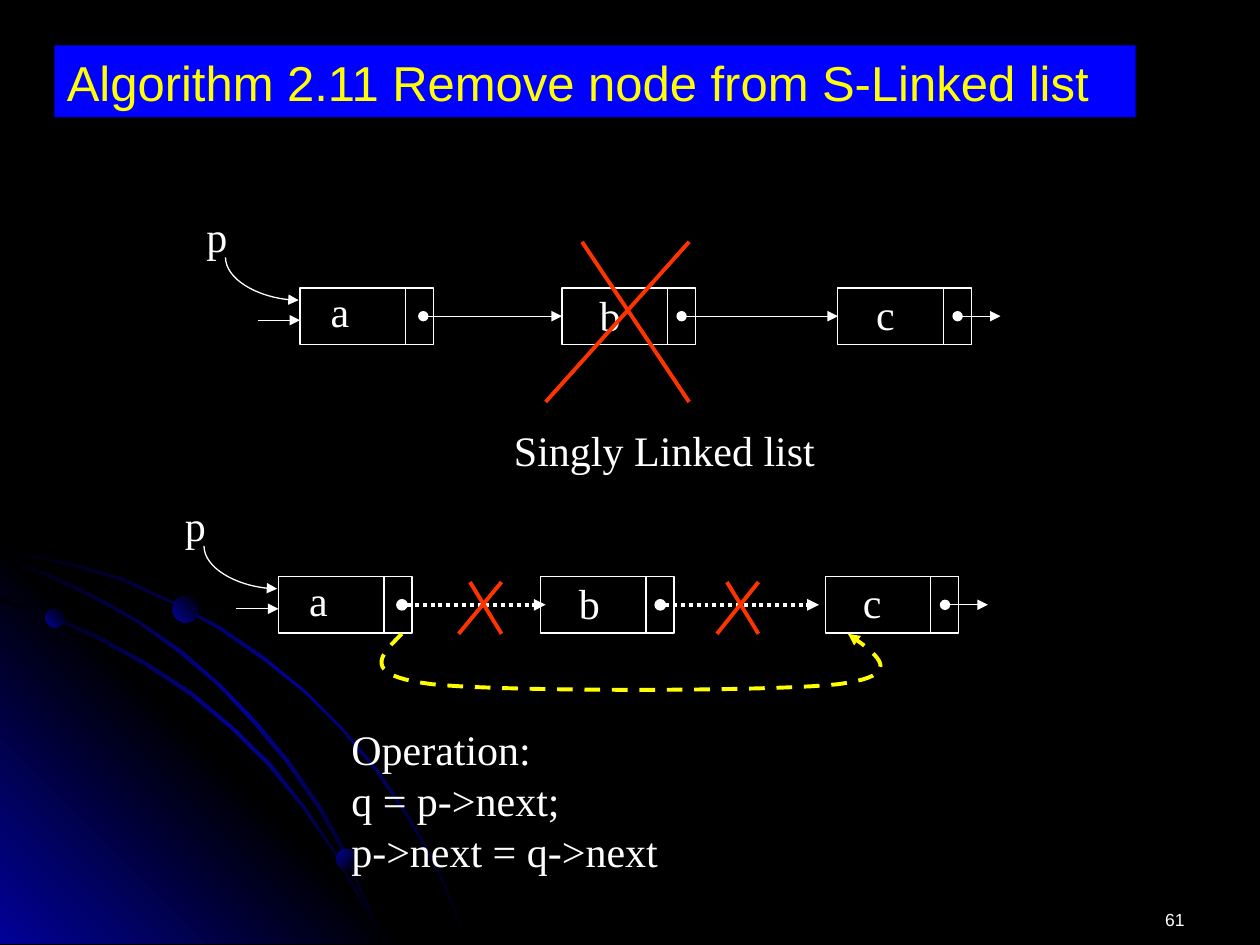
from copy import deepcopy
from dataclasses import dataclass

from lxml import etree
from pptx import Presentation
from pptx.dml.color import RGBColor
from pptx.enum.dml import MSO_LINE
from pptx.enum.shapes import MSO_CONNECTOR, MSO_SHAPE
from pptx.enum.text import MSO_ANCHOR, MSO_AUTO_SIZE, PP_ALIGN
from pptx.oxml.ns import qn
from pptx.util import Pt

BLACK = RGBColor(0x00, 0x00, 0x00)
NAVY = RGBColor(0x01, 0x01, 0x99)
BLUE = RGBColor(0x00, 0x00, 0xFF)
WHITE = RGBColor(0xFF, 0xFF, 0xFF)
RED = RGBColor(0xFF, 0x33, 0x00)
YELLOW = RGBColor(0xFF, 0xFF, 0x00)

STRAIGHT, CURVE = MSO_CONNECTOR.STRAIGHT, MSO_CONNECTOR.CURVE
RECTANGLE, OVAL = MSO_SHAPE.RECTANGLE, MSO_SHAPE.OVAL
DOTTED, DASHED = MSO_LINE.ROUND_DOT, MSO_LINE.DASH
LEFT, RIGHT = PP_ALIGN.LEFT, PP_ALIGN.RIGHT
TOP = MSO_ANCHOR.TOP
NO_AUTOFIT = MSO_AUTO_SIZE.NONE

NODE_WIDTH, NODE_HEIGHT, DIVIDER = 76.3, 32.4, 60.3
THIN, THICK = 0.75, 2.25
LEFT_SIDE = 1


@dataclass(frozen=True)
class Node:
    label: str
    left: float
    label_dx: float
    label_dy: float
    link_start: float
    link_end: float


@dataclass(frozen=True)
class ListRow:
    top: float
    nodes: tuple
    removed_links: bool


@dataclass(frozen=True)
class Cross:
    top_left: float
    right: float
    bottom_left: float
    top: float
    bottom: float


@dataclass(frozen=True)
class Ball:
    left: float
    top: float
    size: float
    angle: int


ROWS = (
    ListRow(164.5, (Node("a", 171.4, 10.4, -5, 241.9, 321.1),
                    Node("b", 321.1, 14.4, -3, 389.5, 478.8),
                    Node("c", 478.8, 14.8, -3.6, 547.2, 571.7)), False),
    ListRow(329.4, (Node("a", 159.1, 10.4, -5, 229.7, 311.8),
                    Node("b", 308.9, 14.8, -3, 377.3, 468),
                    Node("c", 471.6, 14.4, -3.6, 540, 564.5)), True),
)
CROSSES = (Cross(332.6, 393.8, 311.8, 138.2, 229.7),
           Cross(268.6, 286.6, 262.1, 332.6, 362.2),
           Cross(415.4, 433.4, 409.7, 332.6, 362.2))
BALLS = (Ball(25.9, 347.8, 10.8, 315), Ball(192.2, 485.3, 11.5, 45), Ball(98.6, 340.6, 15.1, 315))

UPPER_ARC = [
    (41, 321.8), (20.2, 317.5), (0, 313.2), (0, 315.4), (20.2, 319), (40.3, 323.3),
    (69.8, 331.9), (97.2, 344.2), (124.6, 359.3), (149.8, 376.6), (173.5, 395.3),
    (195.1, 416.9), (214.6, 440.6), (232.6, 467.3), (242.6, 484.6), (252, 502.6),
    (259.2, 520.6), (266.4, 539.3), (267.8, 539.3), (260.6, 520.6), (253.4, 502.6),
    (244.1, 484.6), (234, 466.6), (216, 439.9), (195.8, 416.2), (174.2, 394.6),
    (150.5, 375.1), (125.3, 357.8), (97.9, 343.4), (70.6, 330.5)]
LOWER_ARC = [
    (205.2, 514.1), (211.7, 527), (216.7, 539.3), (218.2, 539.3), (213.1, 525.6),
    (205.9, 512.6), (191.5, 486.7), (174.2, 460.8), (154.8, 436.3), (132.5, 414.7),
    (109.4, 395.3), (84.2, 378.7), (56.9, 363.6), (29.5, 351.4), (0, 342), (0, 343.4),
    (28.1, 352.8), (55.4, 365), (82.8, 380.2), (108, 396.7), (131.8, 416.2),
    (153.4, 437.8), (172.8, 461.5), (190.8, 487.4)]
MIDDLE_ARC = [
    (0, 318.2), (0, 319.7), (25.9, 329), (53.3, 342), (78.5, 355.7), (102.2, 373),
    (124.6, 391.7), (145.4, 414), (163.4, 435.6), (181.4, 461.5), (192.2, 480.2),
    (201.6, 499.7), (210.2, 519.8), (216.7, 539.3), (218.2, 539.3), (211.7, 518.4),
    (203, 499), (193.7, 478.8), (182.9, 460.1), (164.9, 434.2), (146.9, 412.6),
    (126, 391), (103.7, 371.5), (79.9, 355), (54.7, 340.6), (28.1, 327.6)]
GLOW = [(231.8, 539.3), (0, 539.3), (0, 307.4)]
BYPASS = [(229.7, 362.2), (217.4, 374.4), (205.2, 385.9), (247, 391), (288, 395.3),
          (439.2, 395.3), (478.8, 391), (518.4, 385.9), (501.8, 374.4), (484.6, 362.2)]


def fill_gradient(shape, colors: tuple, angle: int) -> None:
    shape.shadow.inherit = False
    shape.line.fill.background()
    shape.fill.gradient()
    shape.fill.gradient_angle = 360 - angle
    stop_list = shape._element.spPr.find(qn("a:gradFill")).find(qn("a:gsLst"))
    while len(stop_list) < len(colors):
        stop_list.append(deepcopy(stop_list[-1]))
    for index, (stop, color) in enumerate(zip(shape.fill.gradient_stops, colors)):
        stop.position = index / (len(colors) - 1)
        stop.color.rgb = color


def style_line(shape, color: RGBColor, width: float, dash=None, head="", tail="") -> None:
    shape.line.color.rgb = color
    shape.line.width = Pt(width)
    if dash is not None:
        shape.line.dash_style = dash
    outline = shape._element.spPr.find(qn("a:ln"))
    for tag, kind in (("a:headEnd", head), ("a:tailEnd", tail)):
        if kind:
            etree.SubElement(outline, qn(tag), type=kind)


def draw_line(slide, start: tuple, end: tuple, color=WHITE, width=THIN, kind=STRAIGHT, **style):
    connector = slide.shapes.add_connector(kind, *map(Pt, start + end))
    style_line(connector, color, width, **style)
    etree.SubElement(connector._element.spPr, qn("a:effectLst"))
    return connector


def draw_outline(slide, points: list, close: bool):
    corners = [(Pt(x), Pt(y)) for x, y in points]
    builder = slide.shapes.build_freeform(*corners[0])
    builder.add_line_segments(corners[1:], close=close)
    shape = builder.convert_to_shape()
    shape.shadow.inherit = False
    return shape


def curve_points(controls: list, steps: int = 20) -> list:
    points = [controls[0]]
    for first in range(0, len(controls) - 1, 3):
        segment = controls[first:first + 4]
        for step in range(1, steps + 1):
            t = step / steps
            weights = ((1 - t) ** 3, 3 * t * (1 - t) ** 2, 3 * t * t * (1 - t), t ** 3)
            points.append(tuple(sum(w * p[axis] for w, p in zip(weights, segment))
                                for axis in (0, 1)))
    return points


def write_lines(frame, lines: list, size: float, color=WHITE, font="Times New Roman",
                spacing: float = 29, align=LEFT, wrap=False) -> None:
    frame.text = "\n".join(lines)
    frame.word_wrap = wrap
    frame.auto_size = NO_AUTOFIT
    frame.vertical_anchor = TOP
    for paragraph in frame.paragraphs:
        paragraph.alignment = align
        paragraph.line_spacing = Pt(spacing)
        paragraph.font.size = Pt(size)
        paragraph.font.name = font
        paragraph.font.color.rgb = color


def draw_text(slide, left: float, top: float, width: float, height: float, *lines: str) -> None:
    box = slide.shapes.add_textbox(Pt(left), Pt(top), Pt(width), Pt(height))
    write_lines(box.text_frame, list(lines), 24)


def draw_background(slide) -> None:
    slide.background.fill.solid()
    slide.background.fill.fore_color.rgb = BLACK
    for points, colors, angle in ((UPPER_ARC, (BLACK, NAVY, BLACK), 45),
                                  (GLOW, (NAVY, BLACK, NAVY), 315),
                                  (LOWER_ARC, (BLACK, NAVY, BLACK), 45),
                                  (MIDDLE_ARC, (BLACK, NAVY, BLACK), 45)):
        fill_gradient(draw_outline(slide, points, True), colors, angle)
    for ball in BALLS:
        shape = slide.shapes.add_shape(OVAL, *map(Pt, (ball.left, ball.top, ball.size, ball.size)))
        fill_gradient(shape, (NAVY, BLACK), ball.angle)


def draw_node(slide, node: Node, top: float):
    box = slide.shapes.add_shape(
        RECTANGLE, *map(Pt, (node.left, top, NODE_WIDTH, NODE_HEIGHT)))
    box.shadow.inherit = False
    box.fill.background()
    style_line(box, WHITE, THIN)
    divider = node.left + DIVIDER
    draw_line(slide, (divider, top), (divider, top + NODE_HEIGHT))
    draw_text(slide, node.left + node.label_dx, top + node.label_dy, 26, 36, node.label)
    return box


def draw_row(slide, row: ListRow) -> None:
    boxes = [draw_node(slide, node, row.top) for node in row.nodes]
    middle = row.top + NODE_HEIGHT / 2
    for node, target in zip(row.nodes, boxes[1:] + [None]):
        dotted = row.removed_links and target is not None
        link = draw_line(slide, (node.link_start, middle), (node.link_end, middle),
                         width=THICK if dotted else THIN, dash=DOTTED if dotted else None,
                         head="oval", tail="triangle")
        if target is not None and not dotted:
            link.end_connect(target, LEFT_SIDE)
    left, top = row.nodes[0].left, row.top
    draw_text(slide, left - 60.5, top - 47.7, 26.6, 36, "p")
    pointer = draw_line(slide, (left - 9.4, top - 26.1), (left - 33.9, top + 15.7),
                        kind=CURVE, tail="triangle")
    properties = pointer._element.spPr
    properties.find(qn("a:xfrm")).set("rot", "16200000")
    properties.find(qn("a:prstGeom")).set("prst", "curvedConnector2")
    draw_line(slide, (left - 24.2, top + 18.5), (left, top + 18.5), tail="triangle")


def draw_cross(slide, cross: Cross) -> None:
    for start, end in ((cross.top_left, cross.right), (cross.right, cross.bottom_left)):
        draw_line(slide, (start, cross.top), (end, cross.bottom), RED, THICK)


def main() -> None:
    presentation = Presentation()
    presentation.slide_width, presentation.slide_height = Pt(720), Pt(540)
    slide = presentation.slides.add_slide(presentation.slide_layouts[5])
    draw_background(slide)

    title = slide.shapes.title
    title.left, title.top, title.width, title.height = map(Pt, (31, 26, 618, 41))
    title.fill.solid()
    title.fill.fore_color.rgb = BLUE
    write_lines(title.text_frame, ["Algorithm 2.11 Remove node from S-Linked list"],
                28, YELLOW, "Arial", 34, wrap=True)

    for row in ROWS:
        draw_row(slide, row)
    for cross in CROSSES:
        draw_cross(slide, cross)
    bypass = draw_outline(slide, curve_points(BYPASS), False)
    bypass.fill.background()
    style_line(bypass, YELLOW, THICK, dash=DASHED, tail="triangle")

    draw_text(slide, 286.6, 239, 186.5, 36, "Singly Linked list")
    draw_text(slide, 193.7, 409.7, 230.4, 94.3, "Operation:", "q = p->next;", "p->next = q->next")
    number = slide.shapes.add_textbox(Pt(516), Pt(516), Pt(168), Pt(24))
    write_lines(number.text_frame, ["61"], 10, font="Arial", spacing=12, align=RIGHT, wrap=True)
    presentation.save("out.pptx")


if __name__ == "__main__":
    main()
